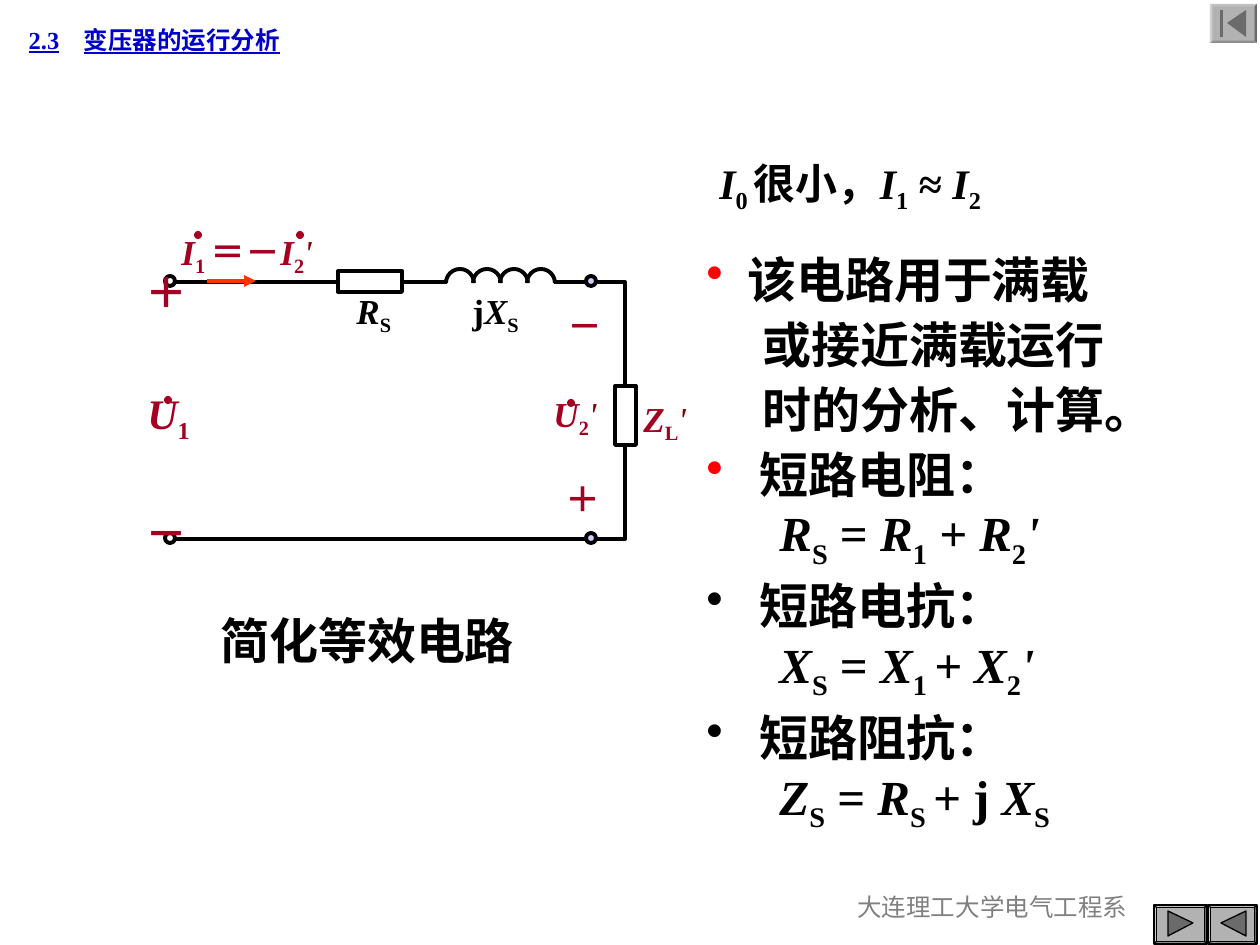
"""Build the slide on the simplified equivalent circuit of a transformer."""
from lxml.etree import SubElement
from pptx import Presentation
from pptx.dml.color import RGBColor
from pptx.enum.shapes import MSO_CONNECTOR, MSO_SHAPE
from pptx.enum.text import MSO_ANCHOR, MSO_AUTO_SIZE, PP_ALIGN
from pptx.oxml.ns import qn
from pptx.util import Pt

PX = 914400 / 126
THEME = {
    "font": "Times New Roman",
    "ink": "000000", "title": "0000CC", "label": "A50021", "prime": "800000",
    "footer": "808080", "bullet": "FF0000", "arrow": "FF3300",
    "node": "CCCCFF", "button": "B2B2B2", "icon": "6B6B6B",
    "small": 14, "tag": 20, "note": 24, "body": 28,
    "wire": 2.25, "thin": 0.75, "gap": 3.5,
}
STYLES = {
    "": {"bold": True, "italic": False},
    "i": {"bold": True, "italic": True},
    "s": {"bold": True, "italic": False},
    "p": {"bold": False, "italic": True},
    "plain": {"bold": False},
}

TITLE = "2.3\t变压器的运行分析"
TEXTS = [
    ((793, 886, 399, 63), "small", "footer", [("大连理工大学电气工程系", "plain")]),
    ((208, 604, 368, 72), "body", "ink", [("简化等效电路", "")]),
    ((707, 151, 417, 71), "note", "ink",
     [("I", "i"), ("0 ", "s"), ("很小，", ""), ("I", "i"), ("1", "s"), (" ≈ ", ""),
      ("I", "i"), ("2", "s")]),
    ((169, 224, 189, 60), "tag", "label",
     [("I", "i"), ("1 ", "s"), ("＝－", ""), ("I", "i"), ("2", "s"), ("'", "p")]),
    ((344, 283, 70, 60), "tag", "ink", [("R", "i"), ("S", "s")]),
    ((460, 283, 80, 60), "tag", "ink", [("j", ""), ("X", "i"), ("S", "s")]),
    ((631, 391, 80, 60), "tag", "label", [("Z", "i"), ("L", "s"), ("'", "p")]),
    ((133, 260, 70, 72), "note", "label", [("＋", "")]),
    ((135, 381, 80, 72), "note", "label", [("U", "i"), ("1", "s")]),
    ((133, 501, 70, 72), "note", "label", [("－", "")]),
    ((555, 298, 62, 60), "tag", "label", [("－", "")]),
    ((541, 386, 82, 60), "tag", "label", [("U", "i"), ("2", "s"), ("'", "p")]),
    ((553, 471, 62, 60), "tag", "label", [("＋", "")]),
]
BODY_BOX = (694, 243, 507, 597)
BODY = [
    (41, "bullet", [("该电路用于满载", "")]),
    (56, None, [("或接近满载运行", "")]),
    (56, None, [("时的分析、计算。", "")]),
    (53, "bullet", [("短路电阻：", "")]),
    (73, None, [("R", "i"), ("S", "s"), (" = ", ""), ("R", "i"), ("1", "s"),
                (" + R", "i"), ("2", "s"), ("'", "i")]),
    (53, "ink", [("短路电抗：", "")]),
    (73, None, [("X", "i"), ("S", "s"), (" = ", ""), ("X", "i"), ("1 ", "s"),
                ("+ X", "i"), ("2", "s"), ("'", "i")]),
    (53, "ink", [("短路阻抗：", "")]),
    (73, None, [("Z", "i"), ("S", "s"), (" = ", ""), ("R", "i"), ("S ", "s"),
                ("+ ", "i"), ("j ", ""), ("X", "i"), ("S", "s")]),
]

WIRES = [((175, 282), (338, 282)), ((402, 282), (447, 282))]
CORNERS = [[(554, 282), (625, 282), (625, 386)], [(173, 539), (625, 539), (625, 445)]]
CURRENT = ((207, 281), (256, 281))
RESISTORS = [(338, 271, 64, 21), (615, 386, 21, 59)]
COIL = {"left": 446, "top": 269, "width": 28, "step": 27, "turns": 4}
TERMINALS = [(165, 276, None), (165, 533, None), (586, 276, "node"), (586, 533, "node")]
PHASOR_DOTS = [(164, 396), (194, 231), (567, 399), (296, 231)]
BUTTONS = [
    ((1154, 905, 53, 39), "ink", [[(1168, 911), (1193, 923), (1168, 936)]]),
    ((1208, 905, 49, 39), "ink", [[(1221, 923), (1246, 911), (1246, 936)]]),
    ((1210, 4, 47, 39), None, [[(1227, 23), (1246, 10), (1246, 37)],
                               [(1220, 10), (1223, 10), (1223, 37), (1220, 37)]]),
]


def px(*values):
    return [round(v * PX) for v in values]


def colour(name):
    return RGBColor.from_string(THEME[name])


def apply(obj, values):
    for name, value in values.items():
        setattr(obj, name, value)


def paint(sp, fill=None, line=None, width="wire"):
    sp.shadow.inherit = False
    if fill:
        sp.fill.solid()
        sp.fill.fore_color.rgb = colour(fill)
    else:
        sp.fill.background()
    if line:
        sp.line.color.rgb = colour(line)
        sp.line.width = Pt(THEME[width])
    else:
        sp.line.fill.background()


def shape(s, kind, box, **look):
    sp = s.shapes.add_shape(kind, *px(*box))
    paint(sp, **look)
    return sp


def outline(s, points, close, **look):
    builder = s.shapes.build_freeform(*points[0], scale=PX)
    builder.add_line_segments(points[1:], close=close)
    paint(builder.convert_to_shape(), **look)


def connect(s, ends, ink):
    c = s.shapes.add_connector(MSO_CONNECTOR.STRAIGHT, *px(*ends[0], *ends[1]))
    c.line.color.rgb = colour(ink)
    c.line.width = Pt(THEME["wire"])
    SubElement(c._element.spPr, qn("a:effectLst"))
    return c


def add_runs(p, runs, size, ink):
    for text, style in runs:
        r = p.add_run()
        r.text = text
        apply(r.font, {"name": THEME["font"], "size": Pt(THEME[size]), **STYLES[style]})
        r.font.color.rgb = colour("prime" if style == "p" else ink)
        if style == "s":
            r._r.get_or_add_rPr().set("baseline", "-25000")


def text_box(s, box):
    tf = s.shapes.add_textbox(*px(*box)).text_frame
    tf.word_wrap = True
    return tf


def add_title(s):
    sp = s.shapes.title
    apply(sp, dict(zip(("left", "top", "width", "height"), px(16, 18, 407, 43))))
    tf = sp.text_frame
    apply(tf, {"auto_size": MSO_AUTO_SIZE.NONE, "vertical_anchor": MSO_ANCHOR.MIDDLE,
               "word_wrap": True})
    p = tf.paragraphs[0]
    p.alignment = PP_ALIGN.LEFT
    tabs = SubElement(p._p.get_or_add_pPr(), qn("a:tabLst"))
    SubElement(tabs, qn("a:tab"), pos=str(px(55)[0]), algn="l")
    add_runs(p, [(TITLE, "")], "small", "title")
    for r in p.runs:
        r.font.underline = True


def add_body(s):
    tf = text_box(s, BODY_BOX)
    for i, (indent, bullet, runs) in enumerate(BODY):
        p = tf.add_paragraph() if i else tf.paragraphs[0]
        pPr = p._p.get_or_add_pPr()
        margin = px(indent)[0]
        pPr.set("marL", str(margin))
        pPr.set("indent", str(-margin if bullet else 0))
        if bullet:
            SubElement(SubElement(pPr, qn("a:buClr")), qn("a:srgbClr"), val=THEME[bullet])
            SubElement(pPr, qn("a:buChar"), char="•")
        if i and indent != 73:
            p.space_before = Pt(THEME["gap"])
        add_runs(p, runs, "body", "ink")


def add_circuit(s):
    for ends in WIRES:
        connect(s, ends, "ink")
    for points in CORNERS:
        outline(s, points, False, line="ink")
    for box in RESISTORS:
        shape(s, MSO_SHAPE.RECTANGLE, box, line="ink")
    for i in range(COIL["turns"]):
        box = (COIL["left"] + i * COIL["step"], COIL["top"], COIL["width"], COIL["width"])
        arc = shape(s, MSO_SHAPE.ARC, box, line="ink")
        arc.adjustments[0], arc.adjustments[1] = 108, 0
    for x, y, fill in TERMINALS:
        shape(s, MSO_SHAPE.OVAL, (x, y, 10, 10), fill=fill, line="ink")
    arrow = connect(s, CURRENT, "arrow")
    SubElement(arrow.line._get_or_add_ln(), qn("a:tailEnd"), type="triangle")


def add_buttons(s):
    for box, line, icons in BUTTONS:
        sp = shape(s, MSO_SHAPE.BEVEL, box, fill="button", line=line, width="thin")
        sp.adjustments[0] = 0.06
        for points in icons:
            outline(s, points, True, fill="icon", line=line, width="thin")


def main():
    prs = Presentation()
    prs.slide_width, prs.slide_height = px(1260, 945)
    s = prs.slides.add_slide(prs.slide_layouts[5])
    add_title(s)
    add_circuit(s)
    for box, size, ink, runs in TEXTS:
        p = text_box(s, box).paragraphs[0]
        p.alignment = PP_ALIGN.CENTER if ink == "footer" else PP_ALIGN.LEFT
        add_runs(p, runs, size, ink)
    for x, y in PHASOR_DOTS:
        shape(s, MSO_SHAPE.OVAL, (x, y, 8, 8), fill="label")
    add_body(s)
    add_buttons(s)
    prs.save("out.pptx")


if __name__ == "__main__":
    main()
